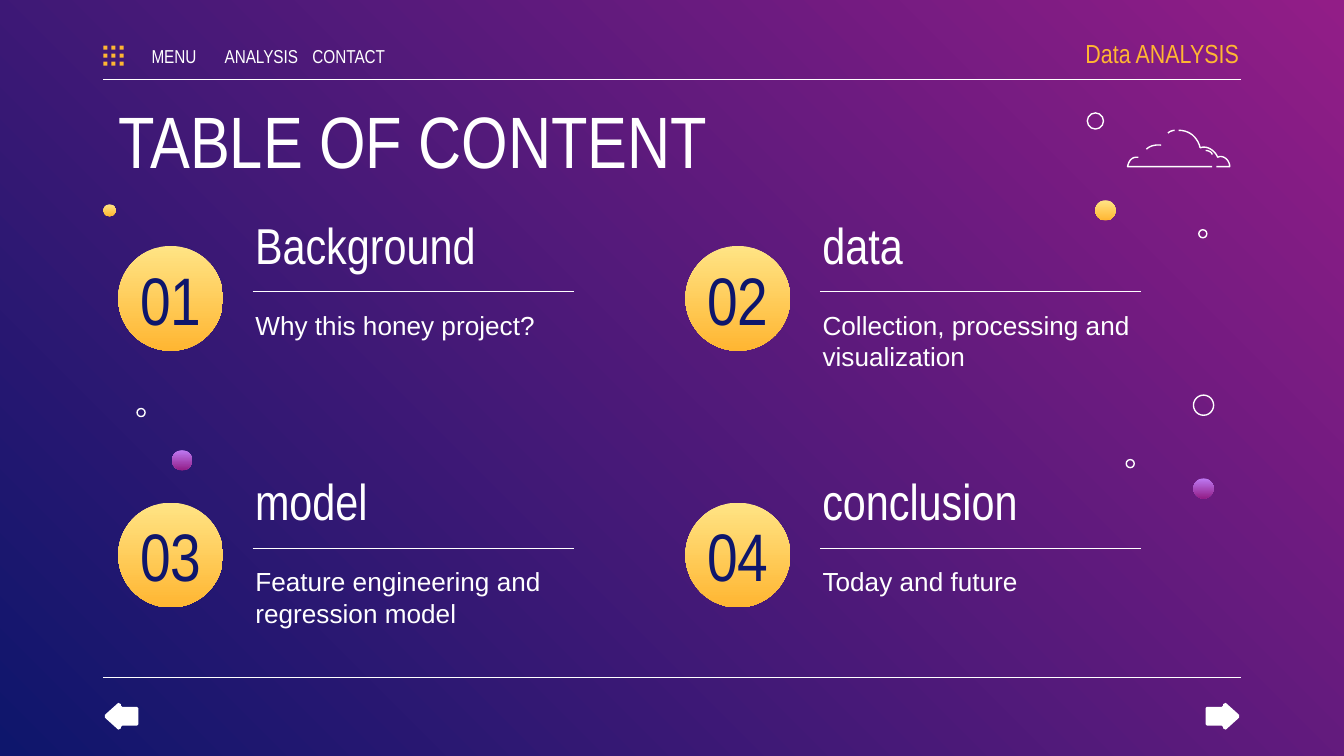
from dataclasses import dataclass

from lxml import etree
from pptx import Presentation
from pptx.dml.color import RGBColor
from pptx.enum.shapes import MSO_CONNECTOR, MSO_SHAPE
from pptx.enum.text import MSO_ANCHOR, MSO_AUTO_SIZE, PP_ALIGN
from pptx.oxml.ns import qn
from pptx.util import Emu, Pt

OVAL, RECT = MSO_SHAPE.OVAL, MSO_SHAPE.RECTANGLE
STRAIGHT = MSO_CONNECTOR.STRAIGHT
TOP, MIDDLE = MSO_ANCHOR.TOP, MSO_ANCHOR.MIDDLE
LEFT, CENTER, RIGHT = PP_ALIGN.LEFT, PP_ALIGN.CENTER, PP_ALIGN.RIGHT

PX = 9144  # EMU per px, 100 px to the inch
WIDTH = 1000
COMPARISON_LAYOUT = 4
WHITE, GOLD, NAVY = "FFFFFF", "FFB632", "0E166C"
GOLD_FADE = ("FFE485", GOLD)
PURPLE_FADE = ("BE7AF3", "921D87")
BACKGROUND_FADE = ("921D87", NAVY)
NARROW, SANS = "Arial Narrow", "Arial"


@dataclass(frozen=True)
class Topic:
    heading: str
    summary: str
    summary_width: int = 244


@dataclass(frozen=True)
class Bubble:
    x: int
    y: int
    size: int
    fade: tuple[str, str] | None = None  # None draws a white ring


TOPICS = [
    Topic("Background", "Why this honey project?"),
    Topic("data", "Collection, processing and visualization", 268),
    Topic("model", "Feature engineering and regression model"),
    Topic("conclusion", "Today and future"),
]
BUBBLES = [
    Bubble(815, 149, 15, GOLD_FADE), Bubble(77, 152, 9, GOLD_FADE),
    Bubble(888, 356, 15, PURPLE_FADE), Bubble(128, 335, 15, PURPLE_FADE),
    Bubble(809, 84, 12), Bubble(888, 294, 15),
    Bubble(892, 171, 6), Bubble(838, 342, 6), Bubble(102, 304, 6),
]
# Each stroke: a start point, then line ends (2 numbers) or cubic curves (6)
CLOUD_STROKES = [
    [(877, 97), (885, 97, 891, 102, 893, 110), (898, 108, 904, 112, 906, 117),
     (910, 115, 915, 119, 915, 124), (905, 124)],
    [(874, 97), (874, 97, 871, 97, 869, 99)],
    [(902, 124), (839, 124), (839, 124, 840, 116, 847, 117)],
    [(897, 112), (897, 112, 901, 112, 902, 115)],
    [(864, 108), (864, 108, 857, 107, 853, 111)],
]
NEXT_ARROW = [
    (912, 543), (922, 534), (922, 532), (912, 523), (910, 524), (910, 525),
    (909, 526), (898, 526), (897, 527), (897, 539), (898, 540), (909, 540),
    (910, 541), (910, 542),
]


def px(length: float) -> Emu:
    return Emu(round(length * PX))


def rgb(code: str) -> RGBColor:
    return RGBColor.from_string(code)


def fade(fill, colors: tuple[str, str], clockwise: int) -> None:
    fill.gradient()
    fill.gradient_angle = 360 - clockwise
    for stop, color in zip(fill.gradient_stops, colors):
        stop.color.rgb = rgb(color)


def outline(line) -> None:
    line.color.rgb = rgb(WHITE)
    line.width = Pt(0.75)


def write(shape, text: str, *, box: tuple[int, int, int, int], size: int,
          font: str = NARROW, color: str = WHITE, align=LEFT, anchor=TOP,
          side_insets: tuple[int, int] = (10, 10)) -> None:
    shape.left, shape.top, shape.width, shape.height = map(px, box)
    frame = shape.text_frame
    frame.word_wrap = True
    frame.auto_size = MSO_AUTO_SIZE.NONE
    frame.vertical_anchor = anchor
    frame.margin_left, frame.margin_right = map(px, side_insets)
    frame.margin_top = frame.margin_bottom = px(10)
    paragraph = frame.paragraphs[0]
    paragraph.alignment = align
    paragraph.line_spacing = 1.0
    paragraph.space_before = Pt(0)
    if shape.is_placeholder:
        properties = paragraph._p.get_or_add_pPr()
        properties.set("marL", "0")
        properties.set("indent", "0")
        etree.SubElement(properties, qn("a:buNone"))
    run = paragraph.add_run()
    run.text = text
    run.font.name = font
    run.font.size = Pt(size)
    run.font.bold = False
    run.font.color.rgb = rgb(color)


def add_label(shapes, text: str, **text_format) -> None:
    write(shapes.add_textbox(0, 0, 0, 0), text, **text_format)


def add_rule(shapes, x1: int, x2: int, y: int) -> None:
    rule = shapes.add_connector(STRAIGHT, px(x1), px(y), px(x2), px(y))
    outline(rule.line)
    etree.SubElement(rule._element.spPr, qn("a:effectLst"))


def add_bubble(shapes, bubble: Bubble) -> None:
    circle = shapes.add_shape(OVAL, *map(px, (bubble.x, bubble.y, bubble.size, bubble.size)))
    circle.shadow.inherit = False
    if bubble.fade:
        fade(circle.fill, bubble.fade, 90)
        circle.line.fill.background()
    else:
        circle.fill.background()
        outline(circle.line)


def trace(stroke: list[tuple[int, ...]], steps: int = 10) -> list[tuple[float, float]]:
    """Turn a stroke of lines and cubic curves into points."""
    points = [stroke[0]]
    for segment in stroke[1:]:
        if len(segment) == 2:
            points.append(segment)
            continue
        controls = [points[-1], segment[:2], segment[2:4], segment[4:]]
        for step in range(1, steps + 1):
            t = step / steps
            weights = ((1 - t) ** 3, 3 * t * (1 - t) ** 2, 3 * t * t * (1 - t), t ** 3)
            points.append(tuple(sum(w * c[axis] for w, c in zip(weights, controls))
                                for axis in (0, 1)))
    return points


def add_outline(shapes, points: list[tuple[float, float]], closed: bool):
    corners = [(px(x), px(y)) for x, y in points]
    builder = shapes.build_freeform(*corners[0], scale=1.0)
    builder.add_line_segments(corners[1:], close=closed)
    shape = builder.convert_to_shape()
    shape.shadow.inherit = False
    return shape


def add_arrow(shapes, points: list[tuple[int, int]]) -> None:
    arrow = add_outline(shapes, points, closed=True)
    arrow.fill.solid()
    arrow.fill.fore_color.rgb = rgb(WHITE)
    arrow.line.fill.background()


def add_topic(shapes, index: int, topic: Topic, summary_holder) -> None:
    row, column = divmod(index, 2)
    x, y = 88 + 422 * column, 183 + 191 * row
    add_bubble(shapes, Bubble(x, y, 78, GOLD_FADE))
    add_rule(shapes, x + 100, x + 339, y + 34)
    add_label(shapes, f"{index + 1:02}", box=(x, y + 20, 78, 38), size=36,
              color=NAVY, align=CENTER, anchor=MIDDLE)
    add_label(shapes, topic.heading, box=(x + 92, y - 34, 303, 48), size=27)
    write(summary_holder, topic.summary,
          box=(x + 92, y + 37, topic.summary_width, 62), size=14, font=SANS)


def main() -> None:
    deck = Presentation()
    deck.slide_width = px(WIDTH)
    deck.slide_height = Emu(deck.slide_width * 9 // 16)
    slide = deck.slides.add_slide(deck.slide_layouts[COMPARISON_LAYOUT])
    shapes = slide.shapes
    fade(slide.background.fill, BACKGROUND_FADE, 135)

    # Header and footer rules
    for y in (59, 504):
        add_rule(shapes, 77, 923, y)

    # Title and topics
    write(shapes.title, "TABLE OF CONTENT", box=(78, 61, 844, 66), size=39)
    for index, topic in enumerate(TOPICS):
        add_topic(shapes, index, topic, slide.placeholders[index + 1])

    # Navigation bar
    add_label(shapes, "Data ANALYSIS", box=(772, 23, 150, 33), size=14, color=GOLD,
              align=RIGHT, anchor=MIDDLE, side_insets=(10, 0))
    for index, entry in enumerate(("MENU", "ANALYSIS", "CONTACT")):
        add_label(shapes, entry, box=(101 + 65 * index, 30, 57, 23), size=10,
                  align=CENTER, anchor=MIDDLE, side_insets=(0, 0))
    menu_icon = shapes.add_group_shape()
    for index in range(9):
        column, row = divmod(index, 3)
        dot = menu_icon.shapes.add_shape(
            RECT, px(77 + 6 * column), px(34 + 6 * row), px(3), px(3))
        dot.shadow.inherit = False
        dot.fill.solid()
        dot.fill.fore_color.rgb = rgb(GOLD)
        dot.line.fill.background()

    # Page arrows
    add_arrow(shapes, NEXT_ARROW)
    add_arrow(shapes, [(WIDTH - x, y) for x, y in NEXT_ARROW])

    # Cloud and bubbles
    cloud = shapes.add_group_shape()
    for stroke in CLOUD_STROKES:
        puff = add_outline(cloud.shapes, trace(stroke), closed=False)
        puff.fill.background()
        outline(puff.line)
    for bubble in BUBBLES:
        add_bubble(shapes, bubble)

    deck.save("out.pptx")


if __name__ == "__main__":
    main()
